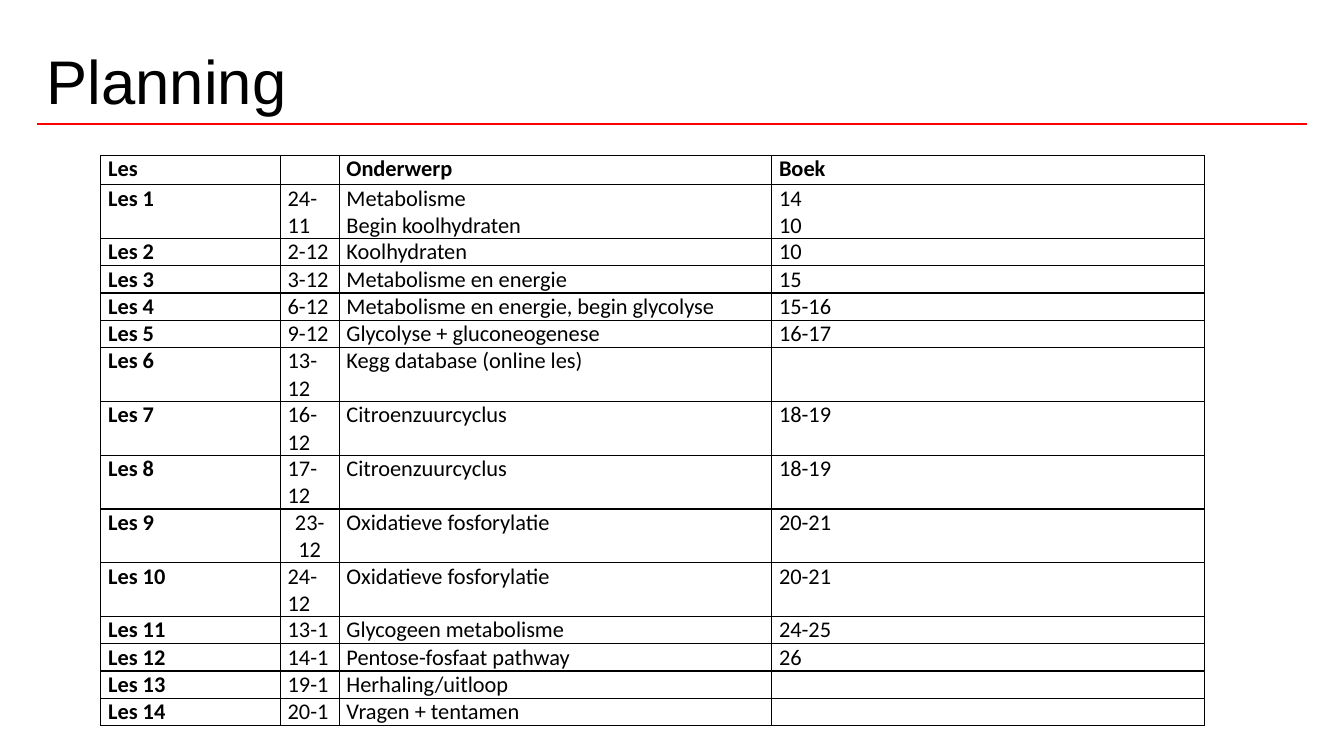
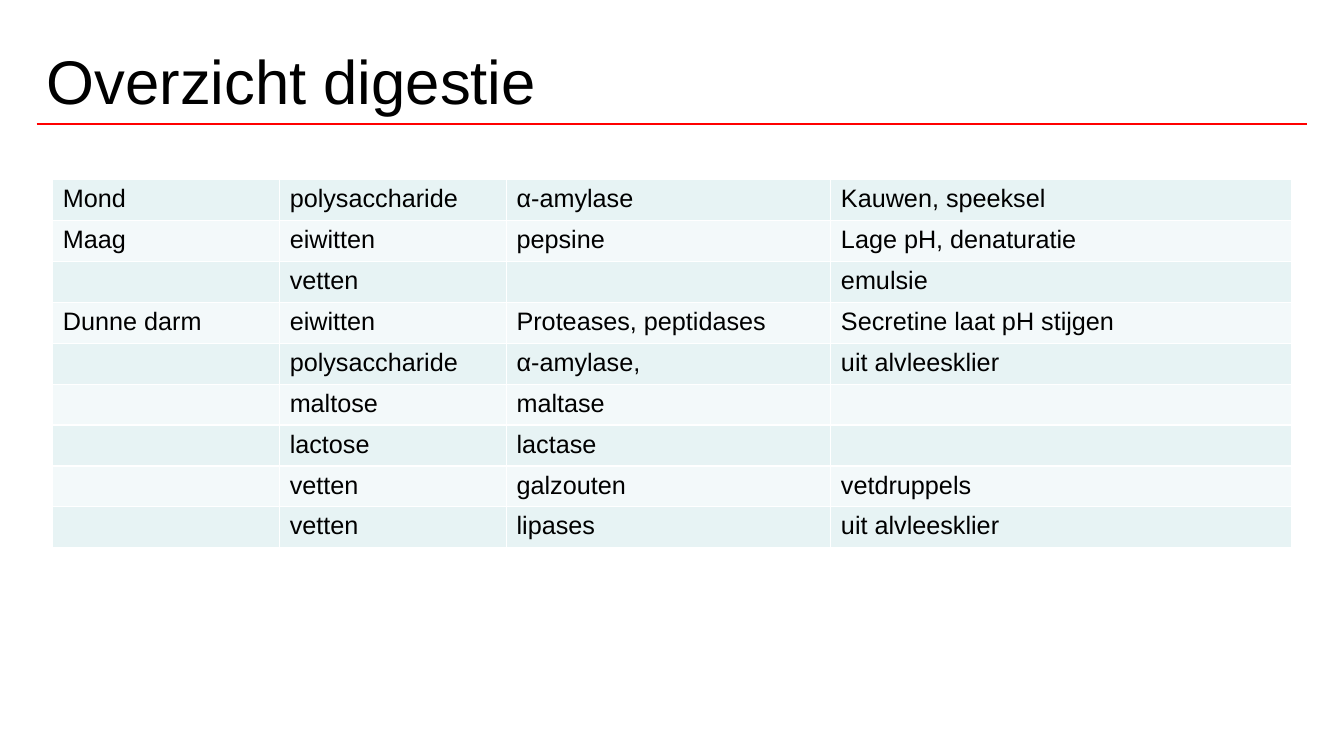
from dataclasses import dataclass

from lxml import etree
from pptx import Presentation
from pptx.dml.color import RGBColor
from pptx.enum.shapes import MSO_CONNECTOR
from pptx.enum.text import MSO_ANCHOR, PP_ALIGN
from pptx.oxml.ns import qn
from pptx.util import Emu, Pt

STRAIGHT = MSO_CONNECTOR.STRAIGHT
TOP, MIDDLE = MSO_ANCHOR.TOP, MSO_ANCHOR.MIDDLE
LEFT, CENTER = PP_ALIGN.LEFT, PP_ALIGN.CENTER
EMU_PER_PX = 9525


@dataclass(frozen=True)
class Theme:
    text: str = "000000"
    rule: str = "FF0000"
    white: str = "FFFFFF"
    band_dark: str = "E7F3F4"
    band_light: str = "F3F9FA"
    font: str = "Arial"
    planning_font: str = "Calibri"
    title_size: int = 44
    planning_size: int = 16
    digestion_size: int = 18
    rule_width: float = 1.5
    border_width: int = 1


THEME = Theme()

PLANNING = [
    ("Les", "", "Onderwerp", "Boek"),
    ("Les 1", "24-11", "Metabolisme\nBegin koolhydraten", "14\n10"),
    ("Les 2", "2-12", "Koolhydraten", "10"),
    ("Les 3", "3-12", "Metabolisme en energie", "15"),
    ("Les 4", "6-12", "Metabolisme en energie, begin glycolyse", "15-16"),
    ("Les 5", "9-12", "Glycolyse + gluconeogenese", "16-17"),
    ("Les 6", "13-12", "Kegg database (online les)", ""),
    ("Les 7", "16-12", "Citroenzuurcyclus", "18-19"),
    ("Les 8", "17-12", "Citroenzuurcyclus", "18-19"),
    ("Les 9", "23-12", "Oxidatieve fosforylatie", "20-21"),
    ("Les 10", "24-12", "Oxidatieve fosforylatie", "20-21"),
    ("Les 11", "13-1", "Glycogeen metabolisme", "24-25"),
    ("Les 12", "14-1", "Pentose-fosfaat pathway", "26"),
    ("Les 13", "19-1", "Herhaling/uitloop", ""),
    ("Les 14", "20-1", "Vragen + tentamen", ""),
]

DIGESTION = [
    ("Mond", "polysaccharide", "α-amylase", "Kauwen, speeksel"),
    ("Maag", "eiwitten", "pepsine", "Lage pH, denaturatie"),
    ("", "vetten", "", "emulsie"),
    ("Dunne darm", "eiwitten", "Proteases, peptidases", "Secretine laat pH stijgen"),
    ("", "polysaccharide", "α-amylase,", "uit alvleesklier"),
    ("", "maltose", "maltase", ""),
    ("", "lactose", "lactase", ""),
    ("", "vetten", "galzouten", "vetdruppels"),
    ("", "vetten", "lipases", "uit alvleesklier"),
]


def px(length):
    return Emu(length * EMU_PER_PX)


def color(value):
    return RGBColor.from_string(value)


def write_text(frame, text, size, font=THEME.font, bold=False, align=LEFT):
    for index, line in enumerate(text.split("\n")):
        paragraph = frame.add_paragraph() if index else frame.paragraphs[0]
        paragraph.alignment = align
        if not line:
            etree.SubElement(paragraph._p, qn("a:endParaRPr"), sz=str(size * 100))
            continue
        run = paragraph.add_run()
        run.text = line
        run.font.size = Pt(size)
        run.font.name = font
        run.font.bold = bold
        run.font.color.rgb = color(THEME.text)


def add_rule(slide, left, top, width):
    rule = slide.shapes.add_connector(
        STRAIGHT, px(left), px(top), px(left + width), px(top))
    rule.line.color.rgb = color(THEME.rule)
    rule.line.width = Pt(THEME.rule_width)
    etree.SubElement(rule._element.spPr, qn("a:effectLst"))


def add_titled_slide(presentation, title):
    slide = presentation.slides.add_slide(presentation.slide_layouts[6])
    left, top, width, height = 35, 35, 1210, 83
    add_rule(slide, left, top + height, width)
    box = slide.shapes.add_textbox(px(left), px(top), px(width), px(height))
    box.text_frame.word_wrap = True
    box.text_frame.vertical_anchor = MIDDLE
    write_text(box.text_frame, title, size=THEME.title_size)
    return slide


def set_borders(cell, border):
    properties = cell._tc.get_or_add_tcPr()
    for side in ("a:lnL", "a:lnR", "a:lnT", "a:lnB"):
        line = etree.SubElement(
            properties, qn(side), w=str(Pt(THEME.border_width)))
        fill = etree.SubElement(line, qn("a:solidFill"))
        etree.SubElement(fill, qn("a:srgbClr"), val=border)


def add_grid(slide, rows, left, top, widths, heights, border, fills, margins, text_format):
    table = slide.shapes.add_table(
        len(rows), len(widths), px(left), px(top),
        px(sum(widths)), px(sum(heights))).table
    table.first_row = table.horz_banding = False
    for column, width in zip(table.columns, widths):
        column.width = px(width)
    for row_index, (row, texts) in enumerate(zip(table.rows, rows)):
        row.height = px(heights[row_index])
        for column_index, (cell, text) in enumerate(zip(row.cells, texts)):
            set_borders(cell, border)
            cell.fill.solid()
            cell.fill.fore_color.rgb = color(fills[row_index % len(fills)])
            cell.vertical_anchor = TOP
            cell.margin_left = cell.margin_right = px(margins[0])
            cell.margin_top = cell.margin_bottom = px(margins[1])
            write_text(cell.text_frame, text, **text_format(row_index, column_index))


def planning_format(row, column):
    centered = PLANNING[row][column] == "23-12"
    return dict(size=THEME.planning_size, font=THEME.planning_font,
                bold=row == 0 or column == 0, align=CENTER if centered else LEFT)


def digestion_format(row, column):
    return dict(size=THEME.digestion_size)


def main():
    presentation = Presentation()
    presentation.slide_width, presentation.slide_height = px(1280), px(720)

    planning = add_titled_slide(presentation, "Planning")
    add_grid(planning, PLANNING, 96, 148, widths=[171, 56, 412, 412],
             heights=[28] + [26] * (len(PLANNING) - 1), border=THEME.text,
             fills=[THEME.white], margins=(7, 0), text_format=planning_format)

    digestion = add_titled_slide(presentation, "Overzicht digestie")
    add_grid(digestion, DIGESTION, 50, 171, widths=[216, 216, 309, 439],
             heights=[39] * len(DIGESTION), border=THEME.white,
             fills=[THEME.band_dark, THEME.band_light], margins=(10, 5),
             text_format=digestion_format)

    presentation.save("out.pptx")


if __name__ == "__main__":
    main()
